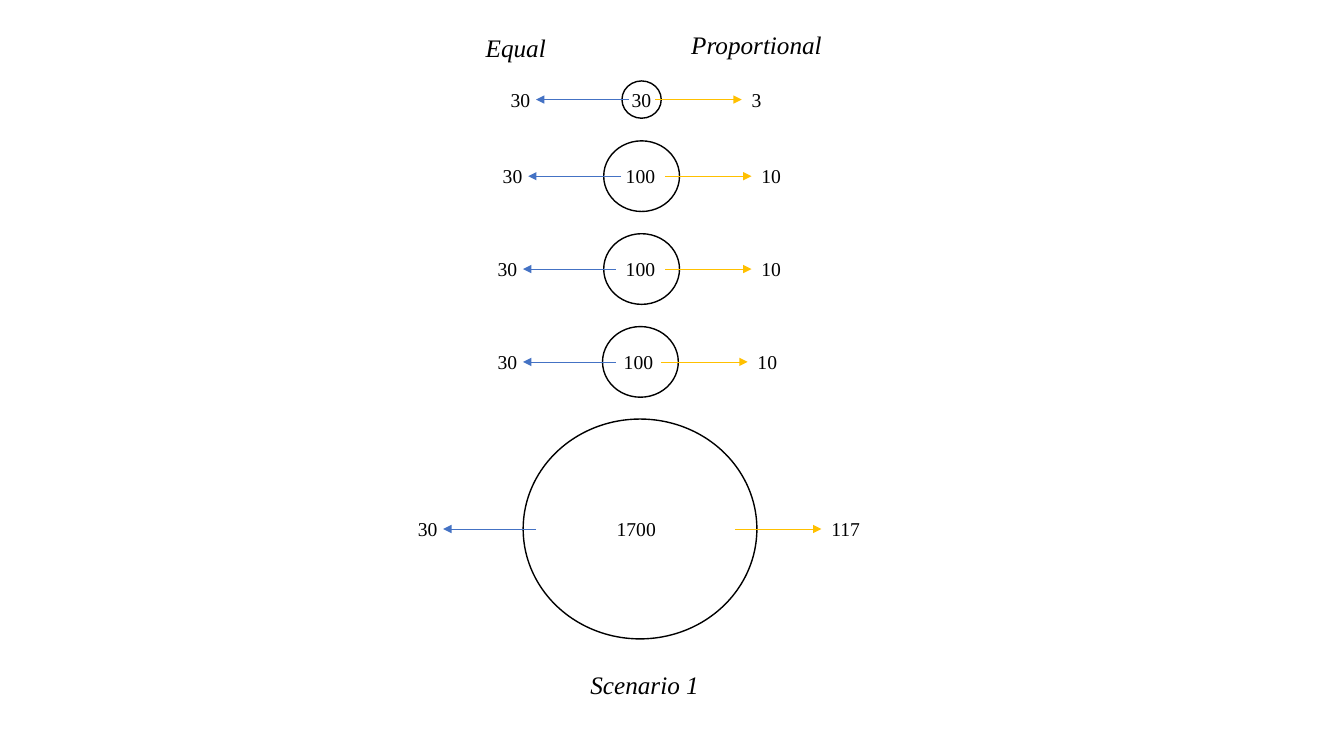
from lxml import etree
from pptx import Presentation
from pptx.dml.color import RGBColor
from pptx.enum.shapes import MSO_CONNECTOR, MSO_SHAPE
from pptx.oxml.ns import qn
from pptx.util import Cm, Pt

OVAL = MSO_SHAPE.OVAL
LINE = MSO_CONNECTOR.STRAIGHT
FONT = "Times New Roman"
COLORS = {"ink": "000000", "equal": "4472C4", "share": "FFC000"}

# Text, left, top, width (cm)
TITLES = [
    ("Equal", 11.99, 0.69, 4.98),
    ("Proportional", 17.17, 0.61, 4.98),
    ("Scenario 1", 14.63, 16.74, 3.78),
]

# Circle width and height (cm)
SMALL, MEDIUM, LARGE = (0.99, 0.94), (1.91, 1.78), (5.89, 5.54)

# Total, equal cut, proportional cut, circle size, center x, center y,
# total's left, start of equal arrow, start of proportional arrow (cm)
ROWS = [
    ("30", "30", "3", SMALL, 16.17, 2.51, 15.67, 15.85, 16.51),
    ("100", "30", "10", MEDIUM, 16.17, 4.44, 15.52, 15.65, 16.76),
    ("100", "30", "10", MEDIUM, 16.17, 6.78, 15.52, 15.52, 16.76),
    ("100", "30", "10", MEDIUM, 16.14, 9.12, 15.47, 15.52, 16.66),
    ("1700", "30", "117", LARGE, 16.13, 13.33, 15.29, 13.51, 18.52),
]
EQUAL_LEN, SHARE_LEN = 2.34, 2.18
EQUAL_GAP = 0.89
LABEL_W, TOTAL_W, LABEL_H, TITLE_H = 1.3, 1.88, 0.86, 1.02


def color(name):
    """Return a named color."""
    return RGBColor.from_string(COLORS[name])


def add_text(slide, text, left, top, width, height, size, italic=False):
    """Add a left-aligned line of text."""
    box = slide.shapes.add_textbox(Cm(left), Cm(top), Cm(width), Cm(height))
    frame = box.text_frame
    frame.word_wrap = True
    frame.text = text
    font = frame.paragraphs[0].runs[0].font
    font.name, font.size, font.italic = FONT, Pt(size), italic
    font.color.rgb = color("ink")


def add_label(slide, text, left, mid, width=LABEL_W):
    """Add a number centered vertically on mid."""
    add_text(slide, text, left, mid - LABEL_H / 2, width, LABEL_H, 14)


def add_circle(slide, x, y, size):
    """Add an outlined circle around its center."""
    wide, high = size
    shape = slide.shapes.add_shape(
        OVAL, Cm(x - wide / 2), Cm(y - high / 2), Cm(wide), Cm(high))
    shape.shadow.inherit = False
    shape.fill.background()
    shape.line.color.rgb = color("ink")
    shape.line.width = Pt(1)


def add_arrow(slide, start, end, y, name):
    """Add a level arrow pointing at end."""
    arrow = slide.shapes.add_connector(LINE, Cm(start), Cm(y), Cm(end), Cm(y))
    arrow.line.color.rgb = color(name)
    arrow.line.width = Pt(0.5)
    props = arrow._element.spPr
    etree.SubElement(props.find(qn("a:ln")), qn("a:tailEnd"), type="triangle")
    etree.SubElement(props, qn("a:effectLst"))


def add_row(slide, row):
    """Add a circle with its total, two arrows and two cuts."""
    total, equal, share, size, x, y, left, west, east = row
    west_tip, east_tip = west - EQUAL_LEN, east + SHARE_LEN
    add_circle(slide, x, y, size)
    add_arrow(slide, west, west_tip, y, "equal")
    add_arrow(slide, east, east_tip, y, "share")
    add_label(slide, total, left, y, TOTAL_W if size == LARGE else LABEL_W)
    add_label(slide, equal, west_tip - EQUAL_GAP, y)
    add_label(slide, share, east_tip, y)


deck = Presentation()
deck.slide_width, deck.slide_height = Cm(33.87), Cm(19.05)
slide = deck.slides.add_slide(deck.slide_layouts[6])
for text, left, top, width in TITLES:
    add_text(slide, text, left, top, width, TITLE_H, 18, italic=True)
for row in ROWS:
    add_row(slide, row)
deck.save("out.pptx")
